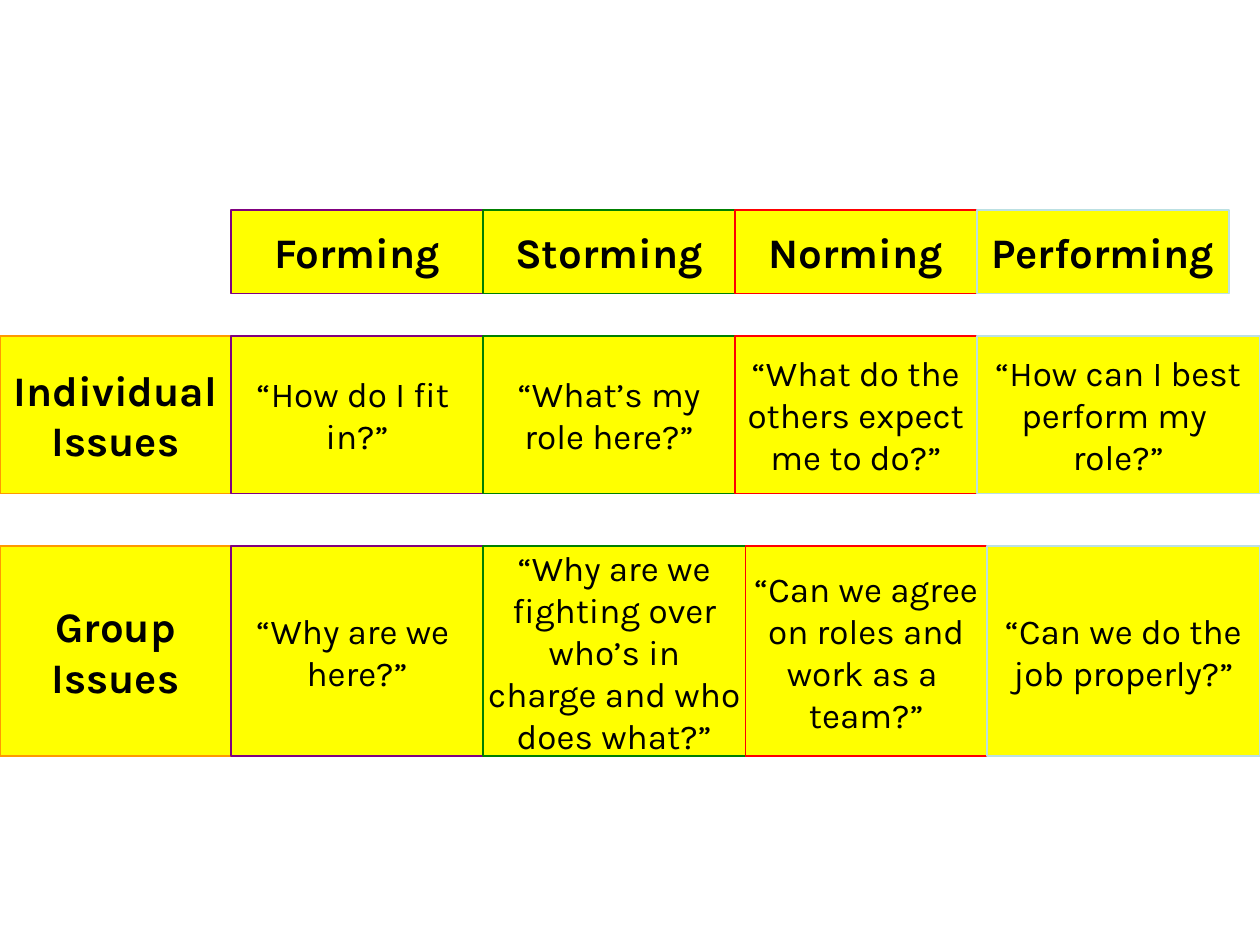
from dataclasses import dataclass
from itertools import pairwise

from pptx import Presentation
from pptx.dml.color import RGBColor as Color
from pptx.enum.shapes import MSO_SHAPE as Shape
from pptx.enum.text import MSO_ANCHOR as Anchor, PP_ALIGN as Align
from pptx.util import Cm, Pt


@dataclass(frozen=True)
class Theme:
    font: str = "Karla"
    text: str = "000000"
    fill: str = "FFFF00"
    columns: tuple = ("FF9900", "800080", "008000", "FF0000", "BBE0E3")
    heading_size: int = 24
    quote_size: int = 20
    border: int = 1


class StageGrid:
    def __init__(self, slide, theme):
        self.slide = slide
        self.theme = theme

    def cell(self, left, top, width, height, border, paragraphs, heading):
        box = self.slide.shapes.add_shape(
            Shape.RECTANGLE, Cm(left), Cm(top), Cm(width), Cm(height))
        box.shadow.inherit = False
        box.fill.solid()
        box.fill.fore_color.rgb = Color.from_string(self.theme.fill)
        box.line.color.rgb = Color.from_string(border)
        box.line.width = Pt(self.theme.border)
        frame = box.text_frame
        frame.word_wrap = False
        frame.vertical_anchor = Anchor.MIDDLE
        for index, lines in enumerate(paragraphs):
            paragraph = frame.add_paragraph() if index else frame.paragraphs[0]
            self.add_lines(paragraph, lines, heading)

    def add_lines(self, paragraph, lines, heading):
        theme = self.theme
        paragraph.alignment = Align.CENTER
        for index, line in enumerate(lines):
            if index:
                paragraph.add_line_break()
            run = paragraph.add_run()
            run.text = line
            run.font.name = theme.font
            run.font.size = Pt(theme.heading_size if heading else theme.quote_size)
            run.font.bold = heading
            run.font.color.rgb = Color.from_string(theme.text)

    def row(self, top, height, edges, texts, headings):
        columns = self.theme.columns[-len(texts):]
        for index, ((left, right), border, paragraphs) in enumerate(
                zip(pairwise(edges), columns, texts)):
            self.cell(left, top, right - left, height, border, paragraphs,
                      index < headings)


STAGES = [[["Forming"]], [["Storming"]], [["Norming"]], [["Performing"]]]
INDIVIDUAL = [
    [["Individual", "Issues"]],
    [["“How do I fit ", "in?”"]],
    [["“What’s my", "role here?”"]],
    [["“What do the", "others expect", "me to do?”"]],
    [["“How can I best", "perform my "], ["role?”"]],
]
GROUP = [
    [["Group", "Issues"]],
    [["“Why are we ", "here?”"]],
    [["“Why are we", "fighting over", "who’s in", "charge and who", "does what?”"]],
    [["“Can we agree", "on roles and", "work as a "], ["team?”"]],
    [["“Can we do the", "job properly?”"]],
]


def main():
    deck = Presentation()
    deck.slide_width, deck.slide_height = Cm(25.4), Cm(19.05)
    blank_layout = deck.slide_layouts[6]
    grid = StageGrid(deck.slides.add_slide(blank_layout), Theme())
    grid.row(4.23, 1.69, [4.66, 9.74, 14.82, 19.69, 24.77], STAGES, len(STAGES))
    grid.row(6.77, 3.18, [0, 4.66, 9.74, 14.82, 19.69, 25.4], INDIVIDUAL, 1)
    grid.row(11.01, 4.23, [0, 4.66, 9.74, 15.03, 19.9, 25.4], GROUP, 1)
    deck.save("out.pptx")


if __name__ == "__main__":
    main()
